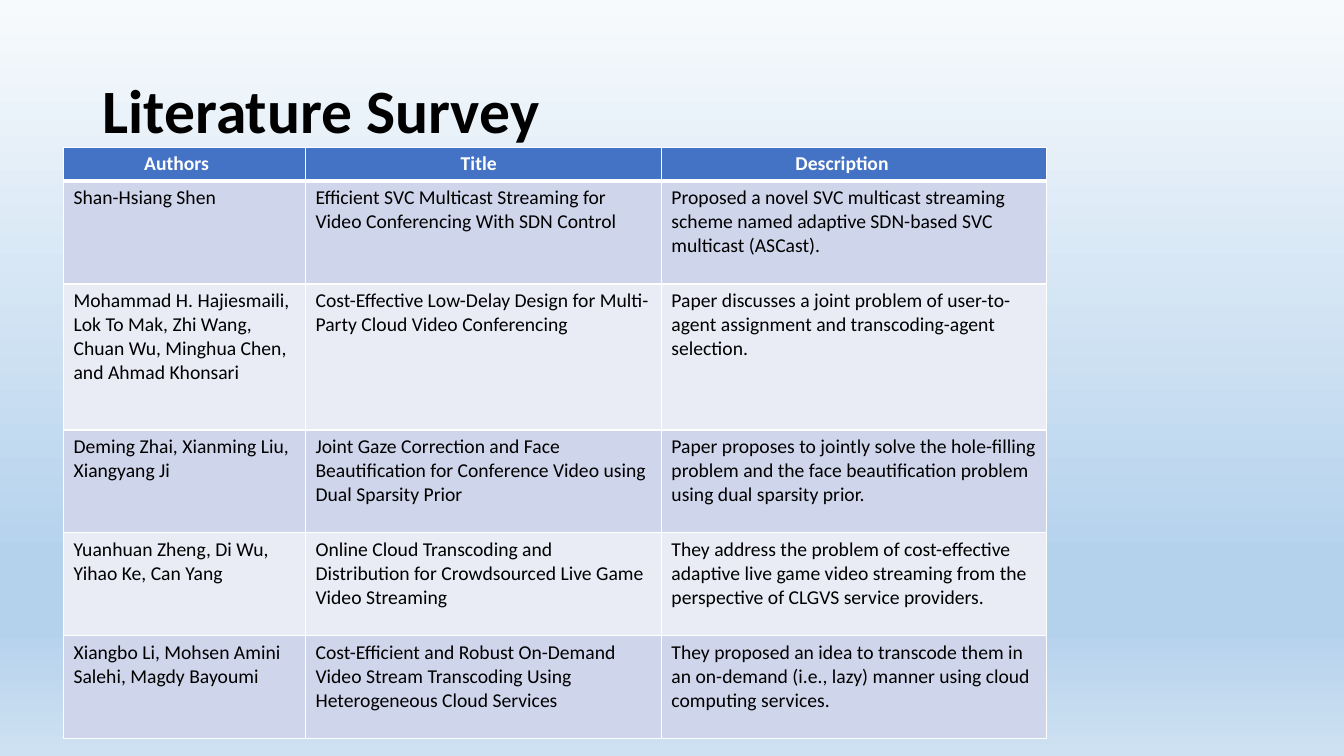
from copy import deepcopy

from lxml import etree
from pptx import Presentation
from pptx import util as u
from pptx.dml.color import RGBColor
from pptx.enum import text
from pptx.oxml.ns import qn

BACKGROUND_STOPS = [(0, "F7FAFD"), (0.74, "B5D2EC"), (0.83, "B5D2EC"), (1, "CEE1F2")]
HEADER_FILL = "4472C4"
BAND_FILLS = ["CFD5EA", "E9EBF5"]
COLUMN_WIDTHS = [2.4, 3.53, 3.82]
ROW_HEIGHTS = [0.33, 1.02, 1.45, 1.02, 1.02, 1.02]
HEADER_INDENTS = [0.8, 1.54, 1.33]

SURVEY = [
    ("Authors", "Title", "Description"),
    ("Shan-Hsiang Shen",
     "Efficient SVC Multicast Streaming for Video Conferencing With SDN Control",
     "Proposed a novel SVC multicast streaming scheme named adaptive SDN-based SVC "
     "multicast (ASCast)."),
    ("Mohammad H. Hajiesmaili, Lok To Mak, Zhi Wang, Chuan Wu, Minghua Chen, "
     "and Ahmad Khonsari",
     "Cost-Effective Low-Delay Design for Multi-Party Cloud Video Conferencing",
     "Paper discusses a joint problem of user-to-agent assignment and "
     "transcoding-agent selection."),
    ("Deming Zhai, Xianming Liu, Xiangyang Ji",
     "Joint Gaze Correction and Face Beautification for Conference Video using "
     "Dual Sparsity Prior",
     "Paper proposes to jointly solve the hole-filling problem and the face "
     "beautification problem using dual sparsity prior."),
    ("Yuanhuan Zheng, Di Wu, Yihao Ke, Can Yang",
     "Online Cloud Transcoding and Distribution for Crowdsourced Live Game "
     "Video Streaming",
     "They address the problem of cost-effective adaptive live game video streaming "
     "from the perspective of CLGVS service providers."),
    ("Xiangbo Li, Mohsen Amini Salehi, Magdy Bayoumi",
     "Cost-Efficient and Robust On-Demand Video Stream Transcoding Using "
     "Heterogeneous Cloud Services",
     "They proposed an idea to transcode them in an on-demand (i.e., lazy) manner "
     "using cloud computing services."),
]


def color(hex_value):
    return RGBColor.from_string(hex_value)


def write_text(frame, content, size=14, fill="000000", bold=False, line_spacing=None):
    paragraph = frame.paragraphs[0]
    paragraph.alignment = text.PP_ALIGN.LEFT
    paragraph.line_spacing = line_spacing
    run = paragraph.add_run()
    run.text = content
    run.font.name = "Calibri"
    run.font.size = u.Pt(size)
    run.font.bold = bold
    run.font.color.rgb = color(fill)


def paint_background(slide):
    fill = slide.background.fill
    fill.gradient()
    fill.gradient_angle = 270
    stop_list = next(slide.element.iter(qn("a:gsLst")))
    while len(stop_list) < len(BACKGROUND_STOPS):
        stop_list.append(deepcopy(stop_list[0]))
    for stop, (position, hex_value) in zip(fill.gradient_stops, BACKGROUND_STOPS):
        stop.position = position
        stop.color.rgb = color(hex_value)


def place_title(slide, left, top, width, height):
    title = slide.shapes.title
    title.left, title.top = u.Inches(left), u.Inches(top)
    title.width, title.height = u.Inches(width), u.Inches(height)
    frame = title.text_frame
    frame.word_wrap = True
    frame.auto_size = text.MSO_AUTO_SIZE.NONE
    frame.vertical_anchor = text.MSO_ANCHOR.MIDDLE
    write_text(frame, "Literature Survey", size=44, bold=True, line_spacing=0.9)


def add_borders(cell, top=1, bottom=1):
    """Draw white cell borders; widths are in points."""
    properties = cell._tc.get_or_add_tcPr()
    for side, width in (("L", 1), ("R", 1), ("T", top), ("B", bottom)):
        line = etree.SubElement(properties, qn(f"a:ln{side}"), w=str(u.Pt(width)))
        solid = etree.SubElement(line, qn("a:solidFill"))
        etree.SubElement(solid, qn("a:srgbClr"), val="FFFFFF")


def place_survey_table(slide, left, top, width, height):
    table = slide.shapes.add_table(
        len(SURVEY), len(COLUMN_WIDTHS),
        u.Inches(left), u.Inches(top), u.Inches(width), u.Inches(height)).table
    for column, column_width in zip(table.columns, COLUMN_WIDTHS):
        column.width = u.Inches(column_width)
    for row_index, entries in enumerate(SURVEY):
        row = table.rows[row_index]
        row.height = u.Inches(ROW_HEIGHTS[row_index])
        is_header = row_index == 0
        row_fill = HEADER_FILL if is_header else BAND_FILLS[(row_index - 1) % 2]
        for column_index, (cell, entry) in enumerate(zip(row.cells, entries)):
            add_borders(cell, top=3 if row_index == 1 else 1, bottom=3 if is_header else 1)
            cell.fill.solid()
            cell.fill.fore_color.rgb = color(row_fill)
            if is_header:
                cell.margin_left = u.Inches(HEADER_INDENTS[column_index])
            write_text(cell.text_frame, entry, bold=is_header,
                       fill="FFFFFF" if is_header else "000000")


def build_survey_slide(presentation):
    slide = presentation.slides.add_slide(presentation.slide_layouts[5])
    paint_background(slide)
    place_title(slide, 0.92, 0.4, 11.5, 1.45)
    place_survey_table(slide, 0.63, 1.46, sum(COLUMN_WIDTHS), sum(ROW_HEIGHTS))


def main():
    presentation = Presentation()
    presentation.slide_width = u.Inches(13.33)
    presentation.slide_height = u.Inches(7.5)
    build_survey_slide(presentation)
    presentation.save("out.pptx")


if __name__ == "__main__":
    main()
